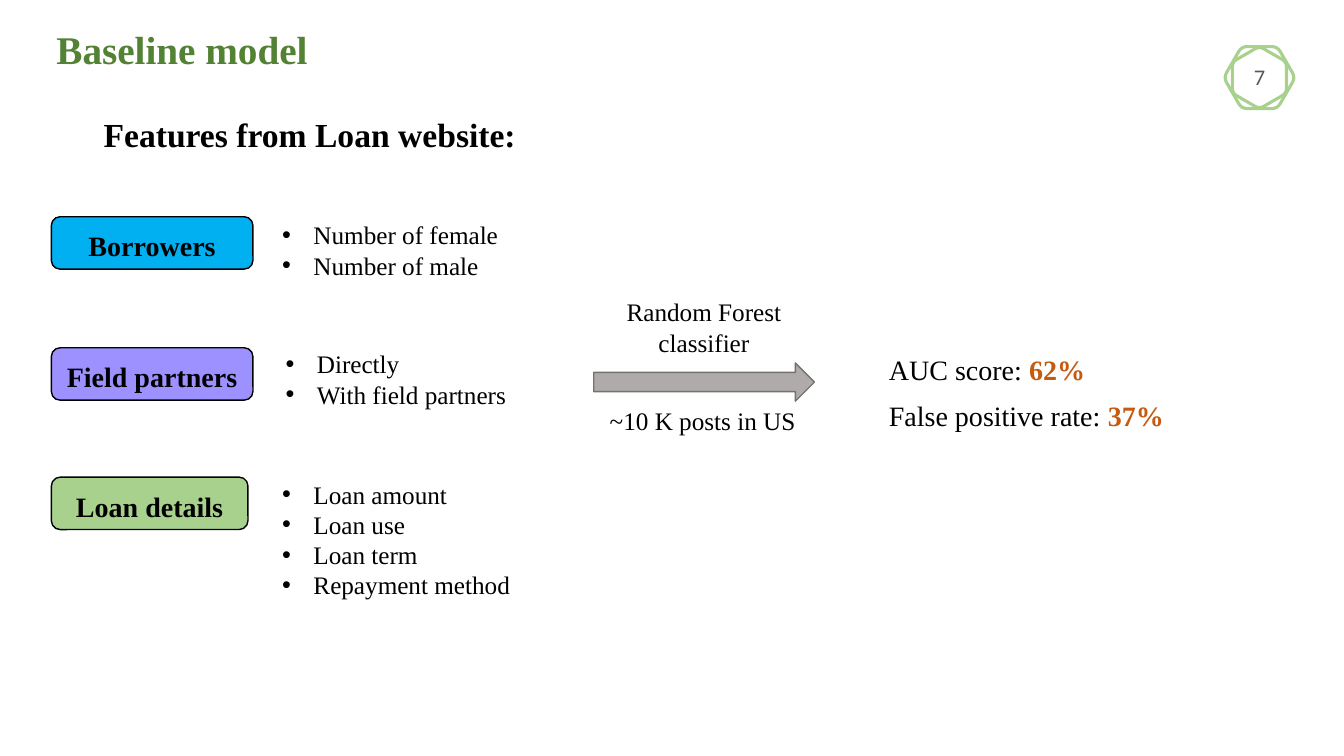
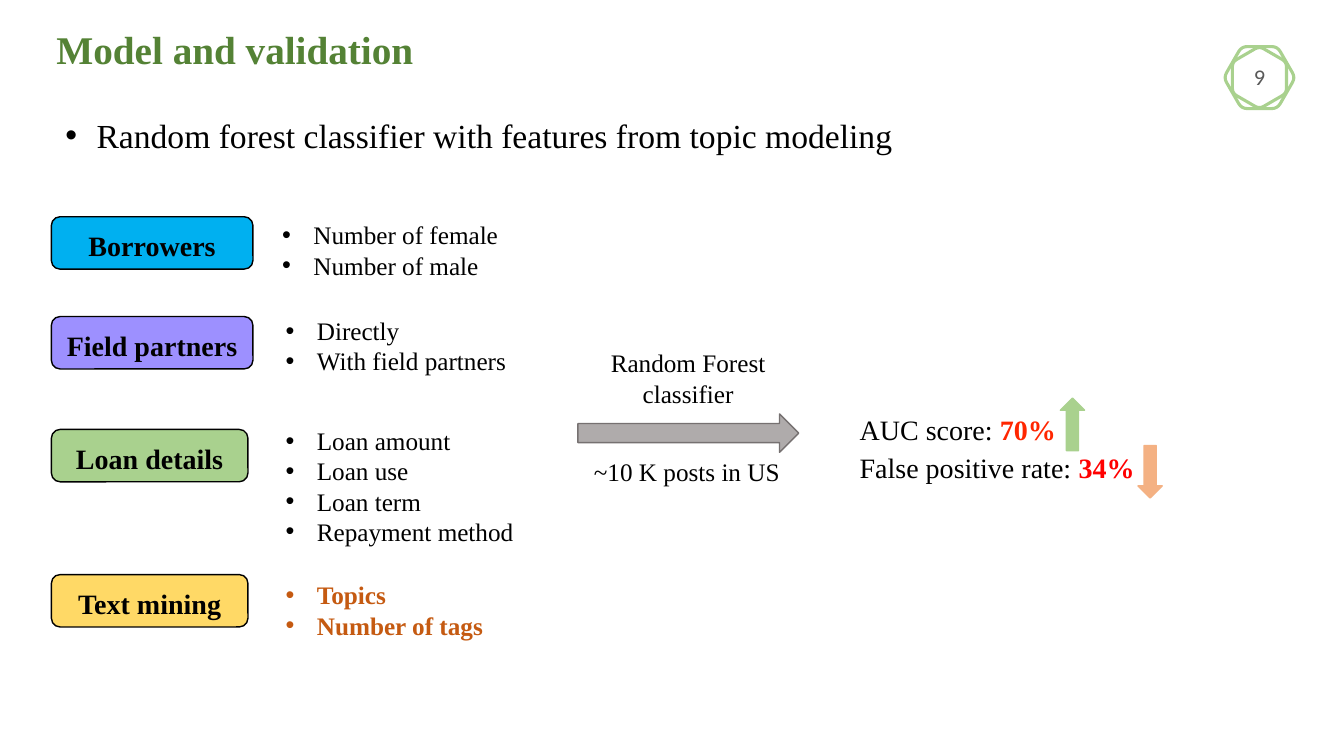
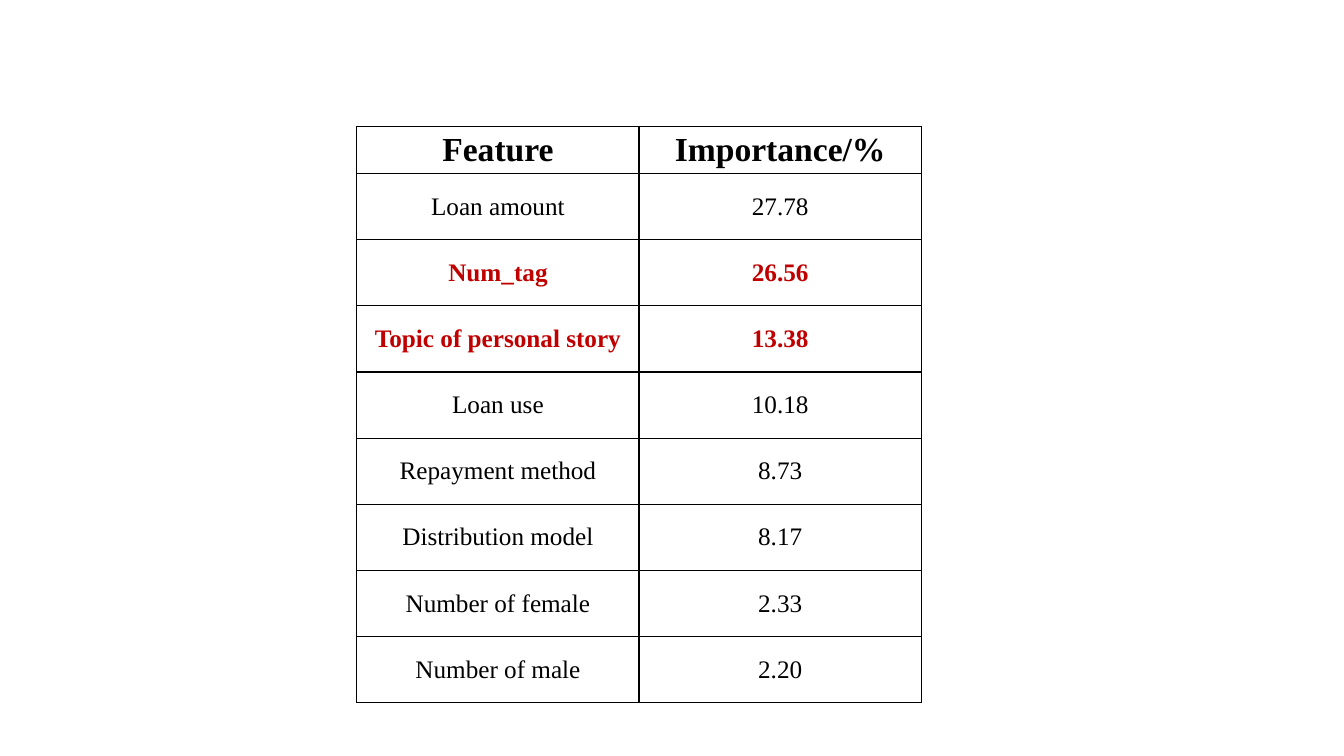
from dataclasses import dataclass
from math import cos, pi, sin

from lxml.etree import SubElement
from pptx import Presentation
from pptx.dml.color import RGBColor as Rgb
from pptx.enum.shapes import MSO_SHAPE as Preset
from pptx.enum.text import MSO_ANCHOR as Anchor, MSO_AUTO_SIZE as AutoSize, PP_ALIGN as Align
from pptx.oxml.ns import qn
from pptx.util import Emu, Inches, Pt

COLUMNS, ROWS = 80, 45
CELL = Inches(1 / 6)
COMPARISON, BLANK = 4, 6


@dataclass(frozen=True)
class Theme:
    serif: str = "Times New Roman"
    sans: str = "Calibri"
    ink: str = "000000"
    title: str = "548235"
    number: str = "595959"
    blue: str = "00B0F0"
    violet: str = "9D90FF"
    green: str = "A9D18E"
    yellow: str = "FFD966"
    peach: str = "F4B183"
    gray: str = "AFABAB"
    gray_edge: str = "767171"
    rust: str = "C55A11"
    scarlet: str = "FF2600"
    red: str = "FF0000"
    crimson: str = "C00000"
    title_size: int = 28
    head_size: int = 24
    label_size: int = 20
    text_size: int = 18
    number_size: int = 16


THEME = Theme()


def cells(*counts):
    """Grid cells to slide lengths."""
    return [Emu(round(count * CELL)) for count in counts]


class Deck:
    """Holds the style, the presentation and the current slide."""

    def __init__(self, theme):
        self.theme = theme
        self.show = Presentation()
        self.show.slide_width, self.show.slide_height = cells(COLUMNS, ROWS)

    def new_slide(self, layout):
        self.slide = self.show.slides.add_slide(self.show.slide_layouts[layout])
        self.bodies = [holder for holder in self.slide.placeholders
                       if 1 <= holder.placeholder_format.idx <= 4]

    def drop_empty_bodies(self):
        for holder in self.bodies:
            holder.element.getparent().remove(holder.element)

    # Text
    def place(self, holder, at):
        holder.left, holder.top, holder.width, holder.height = cells(*at)
        return holder.text_frame

    def box(self, at):
        return self.slide.shapes.add_textbox(*cells(*at)).text_frame

    def add_lines(self, frame, lines, size, align=Align.LEFT, anchor=Anchor.TOP,
                  bullet=False, font=None):
        """Each line is a list of (text, colour, bold) runs."""
        frame.word_wrap = True
        frame.auto_size = AutoSize.NONE
        frame.vertical_anchor = anchor
        for index, line in enumerate(lines):
            para = frame.paragraphs[0] if index == 0 else frame.add_paragraph()
            para.alignment = align
            para.space_before = Pt(0)
            if bullet:
                self.add_bullet(para)
            for text, colour, bold in line:
                self.add_run(para, text, size, colour, bold, font)

    def add_run(self, para, text, size, colour, bold, font=None):
        run = para.add_run()
        run.text = text
        run.font.name = font or self.theme.serif
        run.font.size = Pt(size)
        run.font.bold = bold
        run.font.color.rgb = Rgb.from_string(colour)

    def add_bullet(self, para):
        props = para._p.get_or_add_pPr()
        indent = Inches(0.31)
        props.set("marL", str(indent))
        props.set("indent", str(-indent))
        SubElement(props, qn("a:buFont")).set("typeface", "Arial")
        SubElement(props, qn("a:buChar")).set("char", "•")

    def title(self, text):
        frame = self.place(self.slide.shapes.title, (2.76, 1.2, 26, 3.42))
        self.add_lines(frame, [[(text, self.theme.title, True)]], self.theme.title_size)

    def heading(self, text, at, bold=False, bullet=False):
        self.add_lines(self.box(at), [[(text, self.theme.ink, bold)]],
                       self.theme.head_size, bullet=bullet)

    def items(self, texts, col, row, colour, bold):
        frame = self.place(self.bodies.pop(0), (col, row, 16, 1.1 + 1.8 * len(texts)))
        self.add_lines(frame, [[(text, colour, bold)] for text in texts],
                       self.theme.text_size, bullet=True)

    def score(self, name, value, colour, col, row):
        self.add_lines(self.box((col, row, 18.5, 2.64)),
                       [[(name, self.theme.ink, False), (value, colour, True)]],
                       self.theme.label_size)

    # Shapes
    def shape(self, preset, at, fill, edge):
        form = self.slide.shapes.add_shape(preset, *cells(*at))
        form.shadow.inherit = False
        form.fill.solid()
        form.fill.fore_color.rgb = Rgb.from_string(fill)
        form.line.color.rgb = Rgb.from_string(edge)
        form.line.width = Pt(1)
        return form

    def group_label(self, text, row, width, fill):
        label = self.shape(Preset.ROUNDED_RECTANGLE, (3.06, row, width, 3.12),
                           fill, self.theme.ink)
        frame = label.text_frame
        frame.margin_left = frame.margin_right = frame.margin_bottom = 0
        self.add_lines(frame, [[(text, self.theme.ink, True)]], self.theme.label_size,
                       Align.CENTER, Anchor.MIDDLE)

    def feature_group(self, name, row, width, fill, texts, col, list_row,
                      colour=None, bold=False):
        self.group_label(name, row, width, fill)
        self.items(texts, col, list_row, colour or self.theme.ink, bold)

    def classifier_arrow(self, col, row):
        self.shape(Preset.RIGHT_ARROW, (col, row, 13.14, 2.28),
                   self.theme.gray, self.theme.gray_edge)
        for text, dx, dy, width, height, align in (
                ("Random Forest classifier", 1.1, -4.24, 10.92, 4.26, Align.CENTER),
                ("~10 K posts in US", 0.36, 2.22, 13, 2.4, Align.LEFT)):
            self.add_lines(self.box((col + dx, row + dy, width, height)),
                           [[(text, self.theme.ink, False)]], self.theme.text_size, align)

    # Page badge: two rounded hexagons, one turned by 30 degrees
    def hexagon(self, radius, turn):
        centre_col, centre_row, trim = 74.97, 4.62, 0.16
        corners = [(centre_col + radius * cos(turn + k * pi / 3),
                    centre_row + radius * sin(turn + k * pi / 3)) for k in range(6)]
        outline = []
        for k, corner in enumerate(corners):
            before, after = corners[k - 1], corners[(k + 1) % 6]
            start, end = ([c + trim * (n - c) for c, n in zip(corner, near)]
                          for near in (before, after))
            for t in (0, 0.25, 0.5, 0.75, 1):
                outline.append(tuple(
                    (1 - t) ** 2 * s + 2 * t * (1 - t) * c + t * t * e
                    for s, c, e in zip(start, corner, end)))
        points = [tuple(cells(*point)) for point in outline]
        builder = self.slide.shapes.build_freeform(*points[0], scale=1.0)
        builder.add_line_segments(points[1:], close=True)
        ring = builder.convert_to_shape()
        ring.shadow.inherit = False
        ring.fill.background()
        ring.line.color.rgb = Rgb.from_string(self.theme.green)
        ring.line.width = Pt(2.2)

    def page_badge(self, number):
        self.hexagon(2.13, 0)
        self.hexagon(1.86, pi / 6)
        self.add_lines(self.box((72.97, 3.48, 4, 2.22)),
                       [[(number, self.theme.number, False)]], self.theme.number_size,
                       Align.CENTER, font=self.theme.sans)

    # Table
    def table(self, rows, marked, col, row, col_width, head_height, row_height):
        height = head_height + row_height * (len(rows) - 1)
        grid = self.slide.shapes.add_table(
            len(rows), 2, *cells(col, row, 2 * col_width, height)).table
        grid.first_row = grid.horz_banding = False
        for r, values in enumerate(rows):
            grid.rows[r].height = cells(row_height if r else head_height)[0]
            size = self.theme.text_size if r else self.theme.head_size
            colour = self.theme.crimson if r in marked else self.theme.ink
            for c, value in enumerate(values):
                cell = grid.cell(r, c)
                cell.margin_top = cell.margin_bottom = Inches(0.04)
                self.cell_borders(cell)
                cell.fill.background()
                cell.vertical_anchor = Anchor.MIDDLE
                para = cell.text_frame.paragraphs[0]
                para.alignment = Align.CENTER
                self.add_run(para, value, size, colour, r == 0 or r in marked)

    def cell_borders(self, cell):
        props = cell._tc.get_or_add_tcPr()
        for side in ("a:lnL", "a:lnR", "a:lnT", "a:lnB"):
            line = SubElement(props, qn(side), w=str(Pt(1)))
            fill = SubElement(line, qn("a:solidFill"))
            SubElement(fill, qn("a:srgbClr"), val=self.theme.ink)


BORROWERS = ["Number of female", "Number of male"]
PARTNERS = ["Directly", "With field partners"]
LOAN = ["Loan amount", "Loan use", "Loan term", "Repayment method"]
MINING = ["Topics", "Number of tags"]

IMPORTANCE = [
    ("Feature", "Importance/%"),
    ("Loan amount", "27.78"),
    ("Num_tag", "26.56"),
    ("Topic of personal story", "13.38"),
    ("Loan use", "10.18"),
    ("Repayment method", "8.73"),
    ("Distribution model", "8.17"),
    ("Number of female", "2.33"),
    ("Number of male", "2.20"),
]


def baseline(deck):
    theme = deck.theme
    deck.new_slide(COMPARISON)
    deck.title("Baseline model")
    deck.heading("Features from Loan website:", (5.58, 6.48, 30, 3), bold=True)
    deck.feature_group("Borrowers", 12.9, 12, theme.blue, BORROWERS, 16.2, 12.78)
    deck.feature_group("Field partners", 20.7, 12, theme.violet, PARTNERS, 16.4, 20.46)
    deck.feature_group("Loan details", 28.4, 11.7, theme.green, LOAN, 16.2, 28.2)
    deck.classifier_arrow(35.34, 21.6)
    deck.score("AUC score: ", "62%", theme.rust, 52.32, 20.7)
    deck.score("False positive rate: ", "37%", theme.rust, 52.32, 23.4)
    deck.page_badge("7")
    deck.drop_empty_bodies()


def validation(deck):
    theme = deck.theme
    deck.new_slide(COMPARISON)
    deck.title("Model and validation")
    deck.heading("Random forest classifier with features from topic modeling",
                 (3.3, 6.54, 53, 3), bullet=True)
    deck.feature_group("Borrowers", 12.9, 12, theme.blue, BORROWERS, 16.2, 12.78)
    deck.feature_group("Field partners", 18.84, 12, theme.violet, PARTNERS, 16.4, 18.48)
    deck.feature_group("Loan details", 25.56, 11.7, theme.green, LOAN, 16.4, 25.02)
    deck.feature_group("Text mining", 34.2, 11.7, theme.yellow, MINING, 16.4, 34.2,
                       theme.rust, True)
    deck.classifier_arrow(34.4, 24.64)
    deck.score("AUC score: ", "70%", theme.scarlet, 50.58, 24.24)
    deck.score("False positive rate: ", "34%", theme.red, 50.58, 26.52)
    deck.shape(Preset.UP_ARROW, (63.12, 23.7, 1.44, 3.12), theme.green, theme.green)
    deck.shape(Preset.DOWN_ARROW, (67.74, 26.52, 1.44, 3.12), theme.peach, theme.peach)
    deck.page_badge("9")
    deck.drop_empty_bodies()


def importance(deck):
    deck.new_slide(BLANK)
    deck.table(IMPORTANCE, marked=(2, 3), col=21.24, row=7.53,
               col_width=16.8, head_height=2.8, row_height=3.94)


def main():
    deck = Deck(THEME)
    for build in (baseline, validation, importance):
        build(deck)
    deck.show.save("out.pptx")


if __name__ == "__main__":
    main()
